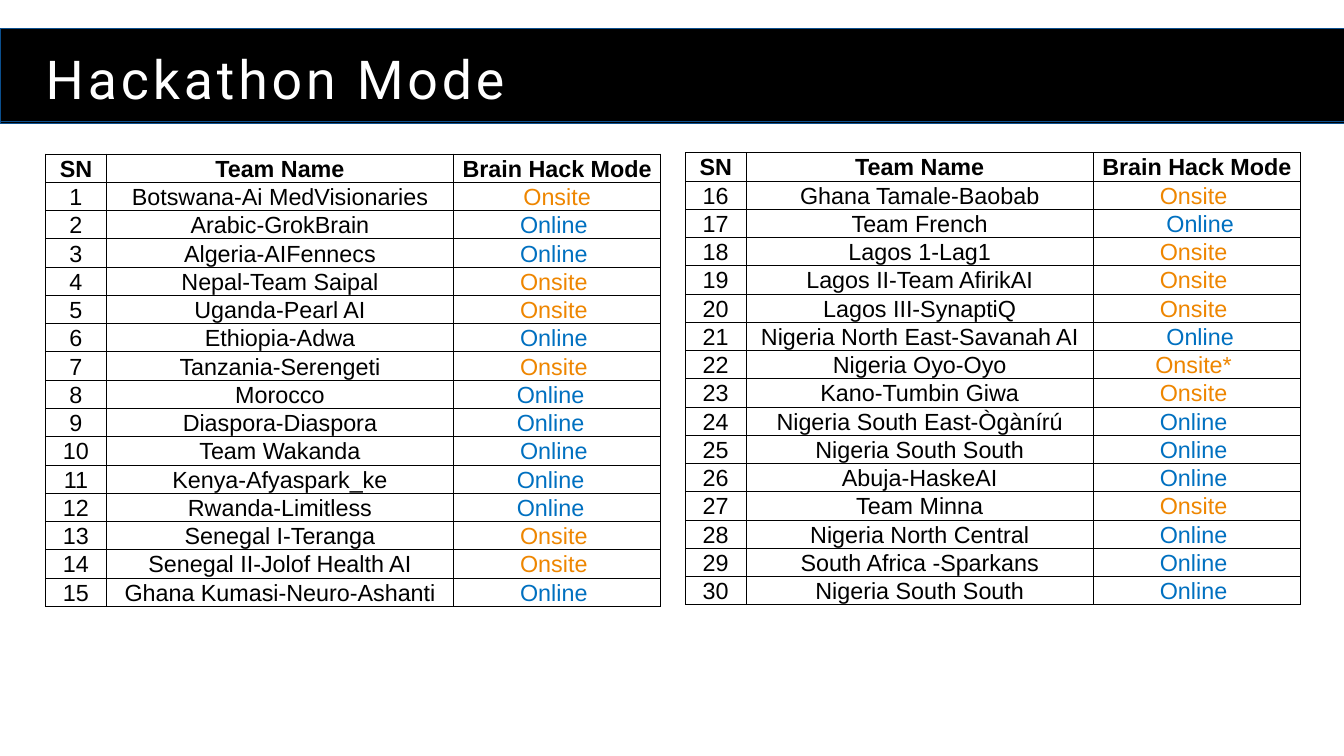
from lxml import etree
from pptx import Presentation
from pptx.dml.color import RGBColor
from pptx.enum.shapes import MSO_SHAPE
from pptx.enum.text import MSO_ANCHOR, MSO_AUTO_SIZE, PP_ALIGN
from pptx.oxml.ns import qn
from pptx.util import Pt

RECTANGLE = MSO_SHAPE.RECTANGLE
TOP, BOTTOM = MSO_ANCHOR.TOP, MSO_ANCHOR.BOTTOM
LEFT, CENTER = PP_ALIGN.LEFT, PP_ALIGN.CENTER
GROW = MSO_AUTO_SIZE.SHAPE_TO_FIT_TEXT

BLACK = RGBColor(0x00, 0x00, 0x00)
WHITE = RGBColor(0xFF, 0xFF, 0xFF)
NAVY = RGBColor(0x0B, 0x4F, 0x8E)
ORANGE = RGBColor(0xEE, 0x86, 0x00)
BLUE = RGBColor(0x00, 0x70, 0xC0)

SLIDE_WIDTH, SLIDE_HEIGHT = 1440, 810
TITLE_ONLY = 5
COLUMN_WIDTHS = (64.8, 372.24, 221.76)
ROW_HEIGHT = 30.28
TEAMS_PER_TABLE = 15
HEADERS = ("SN", "Team Name", "Brain Hack Mode")

# Team, mode, and an optional sideways inset of the mode (right is positive)
TEAMS = [
    ("Botswana-Ai MedVisionaries", "Onsite", 0),
    ("Arabic-GrokBrain", "Online"),
    ("Algeria-AIFennecs", "Online"),
    ("Nepal-Team Saipal", "Onsite"),
    ("Uganda-Pearl AI", "Onsite"),
    ("Ethiopia-Adwa", "Online"),
    ("Tanzania-Serengeti", "Onsite"),
    ("Morocco", "Online", 14),
    ("Diaspora-Diaspora", "Online", 14),
    ("Team Wakanda", "Online"),
    ("Kenya-Afyaspark_ke", "Online", 14),
    ("Rwanda-Limitless", "Online", 14),
    ("Senegal I-Teranga", "Onsite"),
    ("Senegal II-Jolof Health AI", "Onsite"),
    ("Ghana Kumasi-Neuro-Ashanti", "Online"),
    ("Ghana Tamale-Baobab", "Onsite"),
    ("Team French", "Online", -7),
    ("Lagos 1-Lag1", "Onsite"),
    ("Lagos II-Team AfirikAI", "Onsite"),
    ("Lagos III-SynaptiQ", "Onsite"),
    ("Nigeria North East-Savanah AI", "Online", -7),
    ("Nigeria Oyo-Oyo", "Onsite*"),
    ("Kano-Tumbin Giwa", "Onsite"),
    ("Nigeria South East-Ògànírú", "Online"),
    ("Nigeria South South", "Online"),
    ("Abuja-HaskeAI", "Online"),
    ("Team Minna", "Onsite"),
    ("Nigeria North Central", "Online"),
    ("South Africa -Sparkans", "Online"),
    ("Nigeria South South", "Online"),
]


class SlideBuilder:
    title_font, title_size = "Roboto", 57.5
    table_font, table_size = "Arial", 25
    border_width = 0.5

    def __init__(self, slide):
        self.slide = slide

    def add_run(self, paragraph, text, font, size, color, bold=False):
        run = paragraph.add_run()
        run.text = text
        run.font.name = font
        run.font.size = Pt(size)
        run.font.bold = bold
        run.font.color.rgb = color
        return run

    def bars(self, top, heights):
        group = self.slide.shapes.add_group_shape()
        for height in heights:
            bar = group.shapes.add_shape(
                RECTANGLE, 0, Pt(top), Pt(SLIDE_WIDTH), Pt(height))
            bar.shadow.inherit = False
            bar.fill.solid()
            bar.fill.fore_color.rgb = BLACK
            bar.line.color.rgb = NAVY
            bar.line.width = Pt(0.75)

    def title(self, text, left, top, width, height):
        title = self.slide.shapes.title
        title.left, title.top = Pt(left), Pt(top)
        title.width, title.height = Pt(width), Pt(height)
        frame = title.text_frame
        frame.margin_left = frame.margin_right = 0
        frame.margin_top = frame.margin_bottom = 0
        frame.vertical_anchor = TOP
        frame.word_wrap = True
        frame.auto_size = GROW
        paragraph = frame.paragraphs[0]
        paragraph.alignment = LEFT
        paragraph.line_spacing = Pt(74.8)
        run = self.add_run(paragraph, text, self.title_font, self.title_size, WHITE)
        run.font._element.set("spc", "420")
        # Bring the title in front of the bars
        title.element.getparent().append(title.element)

    def borders(self, cell):
        properties = cell._tc.get_or_add_tcPr()
        for side in ("a:lnL", "a:lnR", "a:lnT", "a:lnB"):
            line = etree.SubElement(properties, qn(side), w=str(Pt(self.border_width)))
            fill = etree.SubElement(line, qn("a:solidFill"))
            etree.SubElement(fill, qn("a:srgbClr"), val=str(BLACK))

    def cell(self, cell, text, color=BLACK, bold=False, inset=0):
        self.borders(cell)
        cell.fill.background()
        cell.margin_top = cell.margin_bottom = 0
        cell.margin_left = Pt(max(-inset, 0))
        cell.margin_right = Pt(max(inset, 0))
        cell.vertical_anchor = BOTTOM
        paragraph = cell.text_frame.paragraphs[0]
        paragraph.alignment = CENTER
        self.add_run(paragraph, text, self.table_font, self.table_size, color, bold)

    def team_table(self, left, top, teams, first_number):
        row_count = len(teams) + 1
        table = self.slide.shapes.add_table(
            row_count, len(HEADERS), Pt(left), Pt(top),
            Pt(sum(COLUMN_WIDTHS)), Pt(ROW_HEIGHT * row_count)).table
        table.first_row = table.horz_banding = False
        for column, width in zip(table.columns, COLUMN_WIDTHS):
            column.width = Pt(width)
        for row in table.rows:
            row.height = Pt(ROW_HEIGHT)
        for column, header in enumerate(HEADERS):
            self.cell(table.cell(0, column), header, bold=True)
        for row, (team, mode, *inset) in enumerate(teams, 1):
            self.cell(table.cell(row, 0), str(first_number + row - 1))
            self.cell(table.cell(row, 1), team)
            color = BLUE if mode == "Online" else ORANGE
            self.cell(table.cell(row, 2), mode, color,
                      inset=inset[0] if inset else 7)


def main():
    presentation = Presentation()
    presentation.slide_width = Pt(SLIDE_WIDTH)
    presentation.slide_height = Pt(SLIDE_HEIGHT)
    layout = presentation.slide_layouts[TITLE_ONLY]
    builder = SlideBuilder(presentation.slides.add_slide(layout))

    # Header band
    builder.bars(30.24, (102.24, 99.36))
    builder.title("Hackathon Mode", 48.96, 43.2, 640.8, 68.4)

    # Teams in two side-by-side tables
    for index, (left, top) in enumerate(((48.96, 164.88), (734.4, 163.44))):
        start = index * TEAMS_PER_TABLE
        builder.team_table(left, top, TEAMS[start:start + TEAMS_PER_TABLE], start + 1)

    presentation.save("out.pptx")


if __name__ == "__main__":
    main()
